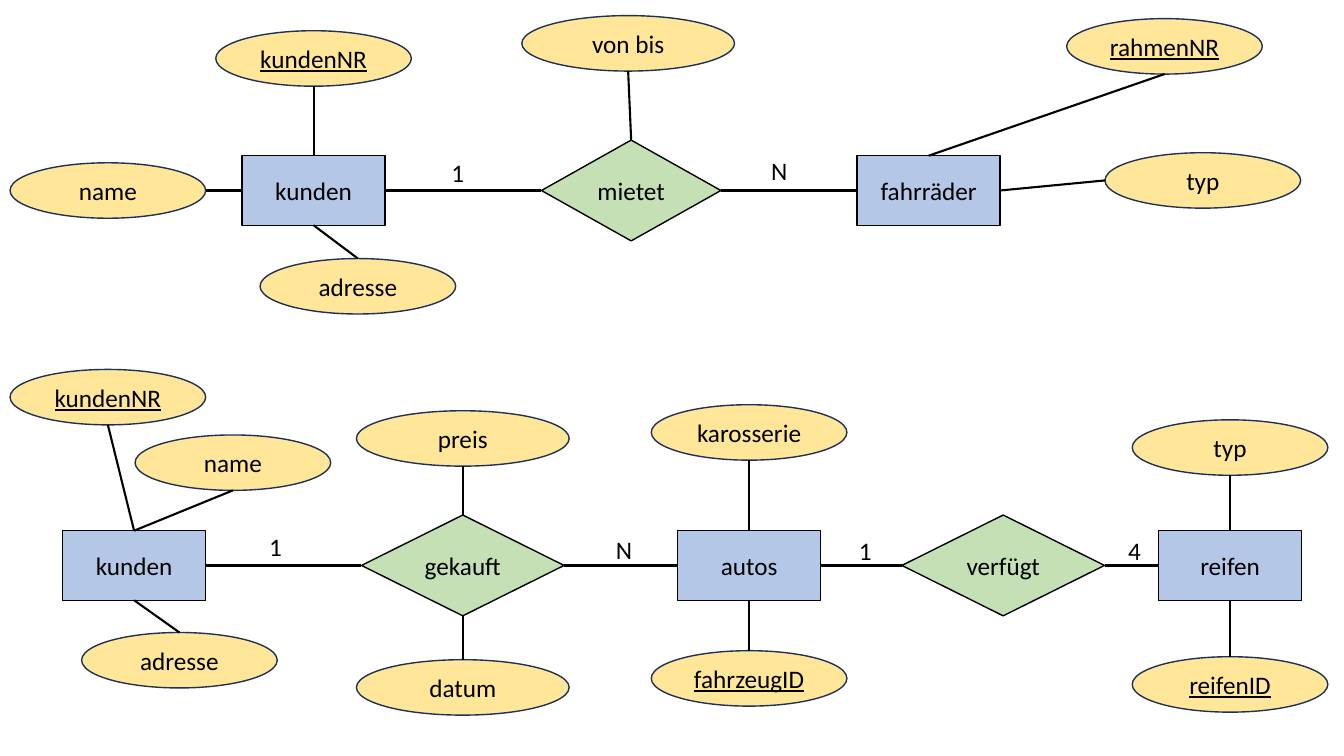
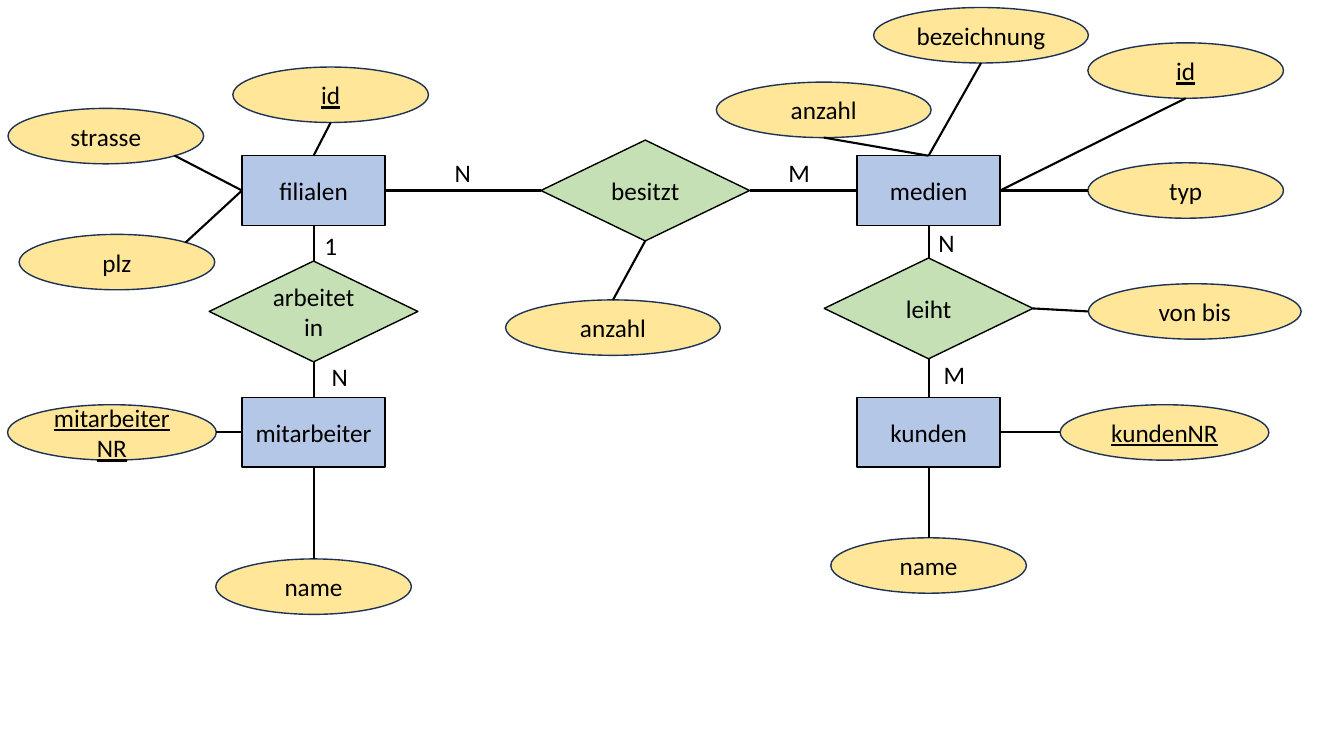
from lxml import etree
from pptx import Presentation
from pptx.dml.color import RGBColor
from pptx.enum.shapes import MSO_CONNECTOR, MSO_SHAPE
from pptx.enum.text import PP_ALIGN
from pptx.oxml.ns import qn
from pptx.util import Inches, Pt

RECTANGLE, DIAMOND, ELLIPSE = MSO_SHAPE.RECTANGLE, MSO_SHAPE.DIAMOND, MSO_SHAPE.OVAL
STRAIGHT = MSO_CONNECTOR.STRAIGHT
CENTER, LEFT_ALIGN = PP_ALIGN.CENTER, PP_ALIGN.LEFT

COLORS = {
    "entity": "B4C7E7",
    "relation": "C5E0B4",
    "attribute": "FFE699",
    "outline": "1E3256",
    "ink": "000000",
}
FONT = {"name": "Calibri", "size": Pt(18)}

# Connection sites of rectangles and diamonds
TOP, LEFT, BOTTOM, RIGHT = range(4)
OPPOSITE = {TOP: BOTTOM, BOTTOM: TOP, LEFT: RIGHT, RIGHT: LEFT}

# Points on an outline as fractions of width and height
TOP_RIGHT, BOTTOM_RIGHT = "top right", "bottom right"
POINTS = {
    TOP: (0.5, 0),
    LEFT: (0, 0.5),
    BOTTOM: (0.5, 1),
    RIGHT: (1, 0.5),
    TOP_RIGHT: (0.85, 0.15),
    BOTTOM_RIGHT: (0.85, 0.85),
}


class ErDiagram:
    """Entity-relationship slides; nodes are placed by their centres."""

    def __init__(self):
        self.prs = Presentation()
        self.prs.slide_width, self.prs.slide_height = Inches(13.33), Inches(7.5)
        self.slide = None

    def new_slide(self):
        self.slide = self.prs.slides.add_slide(self.prs.slide_layouts[6])

    def set_text(self, frame, text, align, underline=False):
        frame.word_wrap = True
        paragraph = frame.paragraphs[0]
        paragraph.alignment = align
        run = paragraph.add_run()
        run.text = text
        for attribute, value in {**FONT, "underline": underline}.items():
            setattr(run.font, attribute, value)
        run.font.color.rgb = RGBColor.from_string(COLORS["ink"])

    def node(self, kind, text, center, size, fill, line="ink", key=False):
        (x, y), (width, height) = center, size
        shape = self.slide.shapes.add_shape(
            kind, Inches(x - width / 2), Inches(y - height / 2),
            Inches(width), Inches(height))
        shape.shadow.inherit = False
        shape.fill.solid()
        shape.fill.fore_color.rgb = RGBColor.from_string(COLORS[fill])
        shape.line.color.rgb = RGBColor.from_string(COLORS[line])
        shape.line.width = Pt(1)
        self.set_text(shape.text_frame, text, CENTER, key)
        return shape

    def entity(self, text, x, y):
        return self.node(RECTANGLE, text, (x, y), (1.42, 0.69), "entity")

    def relation(self, text, x, y, width):
        return self.node(DIAMOND, text, (x, y), (width, 1), "relation")

    def attribute(self, owner, side, text, x, y, width=1.94, key=False, start=None):
        ellipse = self.node(ELLIPSE, text, (x, y), (width, 0.55),
                            "attribute", "outline", key)
        self.link(ellipse, OPPOSITE[side] if start is None else start, owner, side)

    def attributes(self, owner, *rows):
        for side, text, x, y, options in rows:
            self.attribute(owner, side, text, x, y, **options)

    def link(self, source, start, target, end):
        ends = []
        for shape, side in ((source, start), (target, end)):
            across, down = POINTS[side]
            ends += [int(shape.left + across * shape.width),
                     int(shape.top + down * shape.height)]
        line = self.slide.shapes.add_connector(STRAIGHT, *ends)
        line.line.color.rgb = RGBColor.from_string(COLORS["ink"])
        line.line.width = Pt(1.5)
        etree.SubElement(line._element.spPr, qn("a:effectLst"))
        # Ellipses number their sites differently, so only the others are joined
        if source.auto_shape_type != ELLIPSE:
            line.begin_connect(source, start)
        line.end_connect(target, end)

    def cardinality(self, text, left, top):
        box = self.slide.shapes.add_textbox(
            Inches(left), Inches(top), Inches(0.27), Inches(0.4))
        self.set_text(box.text_frame, text, LEFT_ALIGN)

    def relate(self, source, start, target, end, text, left, top):
        self.link(source, start, target, end)
        self.cardinality(text, left, top)


KEY = {"key": True}
WIDE = {"width": 2.11}
EXTRA_WIDE = {"width": 2.13}
WIDE_KEY = {"width": 2.07, "key": True}
WEST, EAST = 3.11, 9.21  # entity columns
UPPER = 1.89             # upper entity row


def rental_and_sales(er):
    er.new_slide()

    # Bicycle rental
    kunden = er.entity("kunden", WEST, UPPER)
    mietet = er.relation("mietet", 6.26, UPPER, 1.78)
    fahrraeder = er.entity("fahrräder", EAST, UPPER)
    er.attributes(kunden,
                  (TOP, "kundenNR", WEST, 0.58, KEY),
                  (LEFT, "name", 1.07, UPPER, {}),
                  (BOTTOM, "adresse", 3.55, 2.84, {}))
    er.attributes(mietet, (TOP, "von bis", 6.23, 0.43, WIDE))
    er.attributes(fahrraeder,
                  (TOP, "rahmenNR", 11.55, 0.46, KEY),
                  (RIGHT, "typ", 11.93, 1.79, {}))
    er.relate(mietet, LEFT, kunden, RIGHT, "1", 4.38, 1.51)
    er.relate(fahrraeder, LEFT, mietet, RIGHT, "N", 7.55, 1.49)

    # Car sales
    row = 5.61
    kunden = er.entity("kunden", 1.33, row)
    gekauft = er.relation("gekauft", 4.59, row, 2.01)
    autos = er.entity("autos", 7.43, row)
    verfuegt = er.relation("verfügt", 9.95, row, 2.01)
    reifen = er.entity("reifen", 12.2, row)
    er.attributes(kunden,
                  (TOP, "kundenNR", 1.07, 3.94, KEY),
                  (TOP, "name", 2.31, 4.59, {}),
                  (BOTTOM, "adresse", 1.78, 6.55, {}))
    er.attributes(gekauft,
                  (TOP, "preis", 4.59, 4.35, WIDE),
                  (BOTTOM, "datum", 4.59, 6.82, WIDE))
    er.attributes(autos,
                  (TOP, "karosserie", 7.43, 4.29, {}),
                  (BOTTOM, "fahrzeugID", 7.43, 6.73, KEY))
    er.attributes(reifen,
                  (TOP, "typ", 12.2, 4.44, {}),
                  (BOTTOM, "reifenID", 12.2, 6.79, KEY))
    er.relate(gekauft, LEFT, kunden, RIGHT, "1", 2.57, 5.22)
    er.relate(autos, LEFT, gekauft, RIGHT, "N", 6.01, 5.25)
    er.relate(verfuegt, LEFT, autos, RIGHT, "1", 8.42, 5.26)
    er.relate(reifen, LEFT, verfuegt, RIGHT, "4", 11.09, 5.26)


def media_library(er):
    er.new_slide()
    lower = 4.29

    # Entities and relations
    filialen = er.entity("filialen", WEST, UPPER)
    medien = er.entity("medien", EAST, UPPER)
    mitarbeiter = er.entity("mitarbeiter", WEST, lower)
    kunden = er.entity("kunden", EAST, lower)
    besitzt = er.relation("besitzt", 6.4, UPPER, 2.07)
    arbeitet = er.relation("arbeitet in", WEST, 3.09, 2.07)
    leiht = er.relation("leiht", EAST, 3.06, 2.07)

    # Attributes
    er.attributes(filialen,
                  (TOP, "id", 3.28, 0.94, KEY),
                  (LEFT, "strasse", 1.05, 1.35, {"start": BOTTOM_RIGHT}),
                  (LEFT, "plz", 1.16, 2.6, {"start": TOP_RIGHT}))
    er.attributes(medien,
                  (TOP, "anzahl", 8.17, 1.09, EXTRA_WIDE),
                  (TOP, "bezeichnung", 9.73, 0.35, EXTRA_WIDE),
                  (RIGHT, "id", 11.76, 0.7, {**KEY, "start": BOTTOM}),
                  (RIGHT, "typ", 11.76, UPPER, {}))
    er.attributes(mitarbeiter,
                  (LEFT, "mitarbeiterNR", 1.11, lower, WIDE_KEY),
                  (BOTTOM, "name", WEST, 5.82, {}))
    er.attributes(kunden,
                  (RIGHT, "kundenNR", 11.55, lower, WIDE_KEY),
                  (BOTTOM, "name", EAST, 5.61, {}))
    er.attributes(besitzt, (BOTTOM, "anzahl", 6.08, 3.25, EXTRA_WIDE))
    er.attributes(leiht, (RIGHT, "von bis", 11.85, 3.09, WIDE))

    # Cardinalities
    er.relate(besitzt, LEFT, filialen, RIGHT, "N", 4.41, 1.51)
    er.relate(medien, LEFT, besitzt, RIGHT, "M", 7.72, 1.51)
    er.relate(filialen, BOTTOM, arbeitet, TOP, "1", 3.12, 2.24)
    er.relate(mitarbeiter, TOP, arbeitet, BOTTOM, "N", 3.19, 3.54)
    er.relate(medien, BOTTOM, leiht, TOP, "N", 9.21, 2.21)
    er.relate(leiht, BOTTOM, kunden, TOP, "M", 9.26, 3.52)


def main():
    er = ErDiagram()
    rental_and_sales(er)
    media_library(er)
    er.prs.save("out.pptx")


if __name__ == "__main__":
    main()
